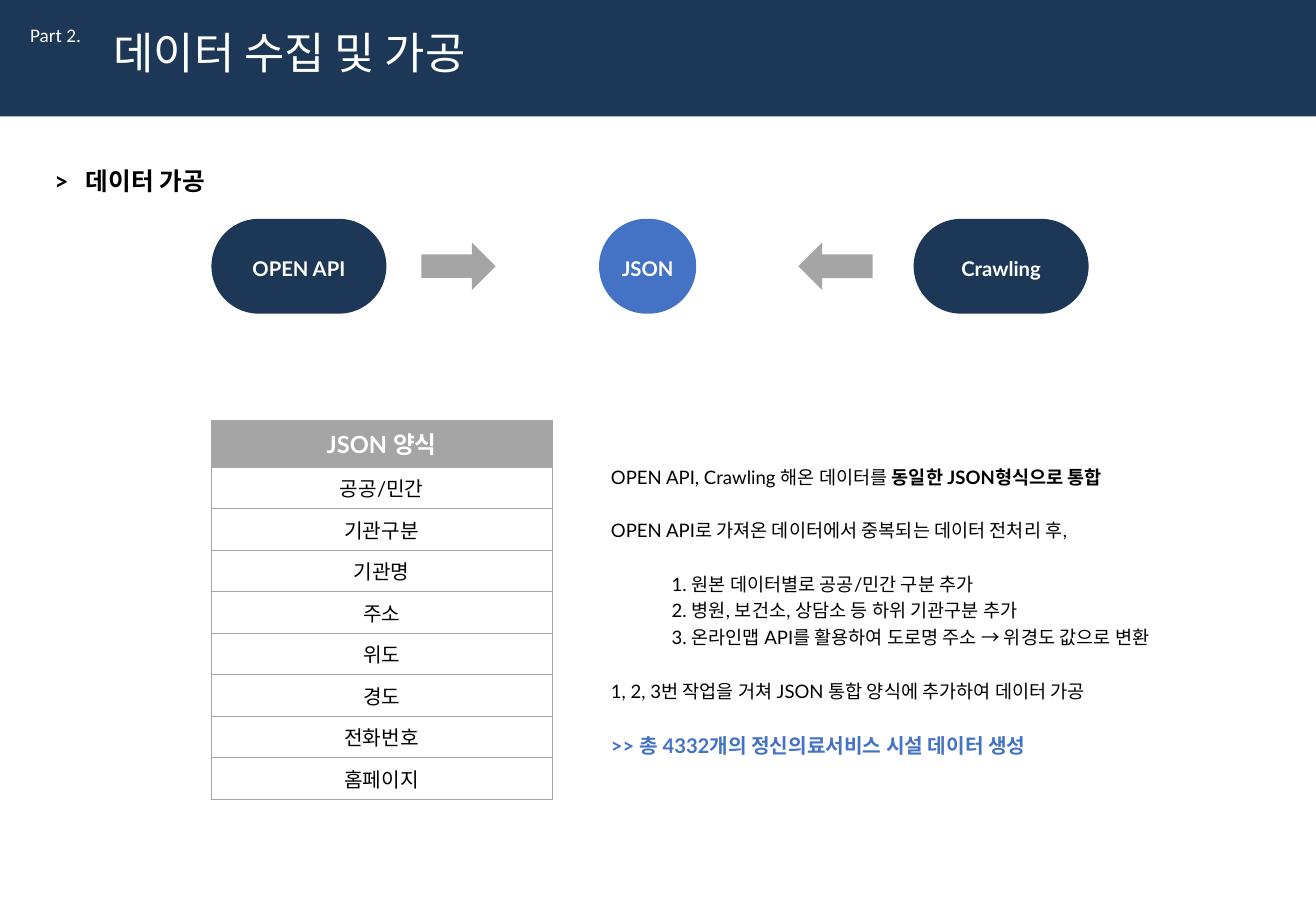
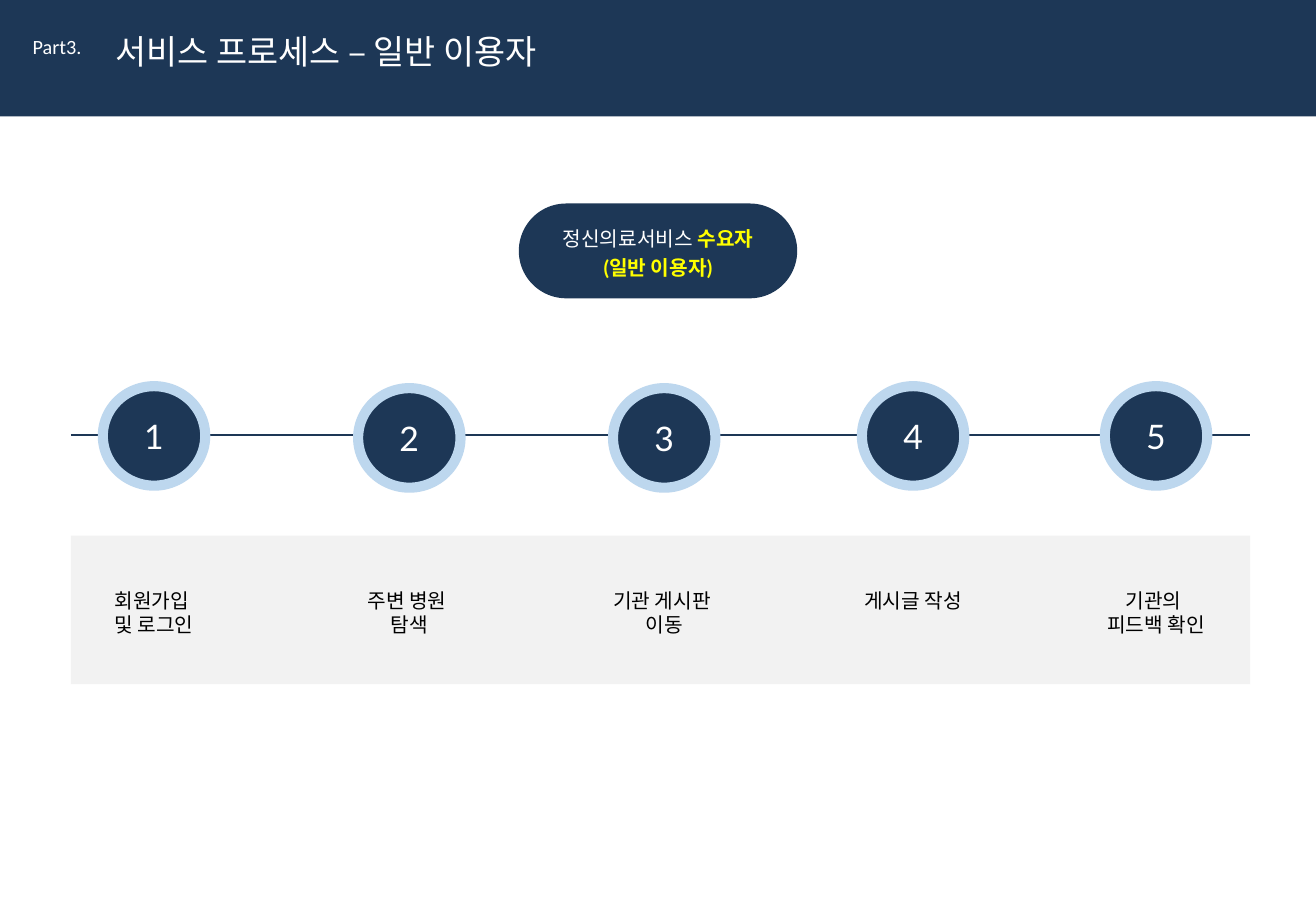
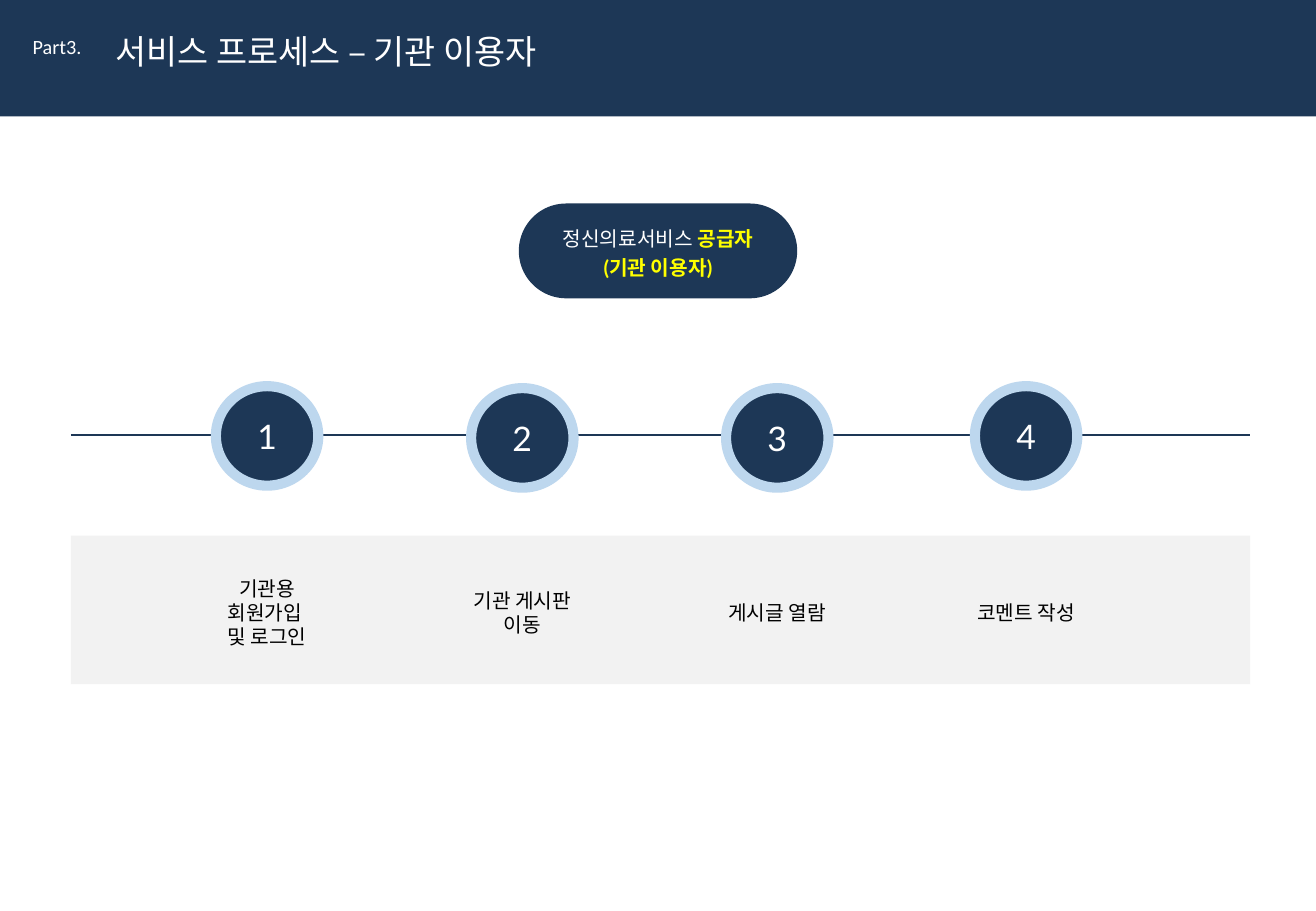
from dataclasses import dataclass

from lxml import etree
from pptx import Presentation
from pptx.dml.color import RGBColor
from pptx.enum import shapes, text
from pptx.oxml import ns
from pptx.util import Pt

KIND = shapes.MSO_SHAPE
ALIGN = text.PP_ALIGN
ANCHOR = text.MSO_ANCHOR


@dataclass(frozen=True)
class Theme:
    navy: str = "1D3756"
    blue: str = "4472C4"
    sky: str = "BDD7EE"
    gray: str = "A5A5A5"
    pale: str = "F2F2F2"
    white: str = "FFFFFF"
    black: str = "000000"
    gold: str = "FFFF00"
    font: str = "Lato"
    tag: str = "Calibri"
    body: float = 11
    base: float = 12
    head: float = 14
    sub: float = 14.6
    step: float = 20
    wide: float = 780
    tall: float = 540


T = Theme()


def rgb(code):
    return RGBColor.from_string(code)


def write(frame, *runs, size=T.base, color=T.black, bold=False, font=T.font,
          align=ALIGN.LEFT, line=None, gap=0, left=0, hang=0):
    """Add one paragraph; a run is text or (text, changes)."""
    para = frame.paragraphs[0] if not frame.text else frame.add_paragraph()
    para.alignment = align
    para.line_spacing = line
    para.space_before = Pt(gap)
    props = para._p.get_or_add_pPr()
    props.set("marL", str(Pt(left)))
    props.set("indent", str(Pt(-hang)))
    if hang:
        tabs = etree.SubElement(props, ns.qn("a:tabLst"))
        etree.SubElement(tabs, ns.qn("a:tab"), pos=str(Pt(left)), algn="l")
    for item in runs:
        words, change = (item, {}) if isinstance(item, str) else item
        look = {"size": size, "color": color, "bold": bold} | change
        run = para.add_run()
        run.text = words
        run.font.name = font
        run.font.size = Pt(look["size"])
        run.font.bold = look["bold"]
        run.font.color.rgb = rgb(look["color"])


def setup(frame, anchor=ANCHOR.TOP, inset=(7.2, 3.6), wrap=True):
    frame.word_wrap = wrap
    frame.auto_size = text.MSO_AUTO_SIZE.NONE
    frame.vertical_anchor = anchor
    frame.margin_left = frame.margin_right = Pt(inset[0])
    frame.margin_top = frame.margin_bottom = Pt(inset[1])
    return frame


def label(slide, box, **form):
    return setup(slide.shapes.add_textbox(*map(Pt, box)).text_frame, **form)


def shape(slide, kind, box, fill, edge=None, width=0):
    item = slide.shapes.add_shape(kind, *map(Pt, box))
    item.shadow.inherit = False
    item.fill.solid()
    item.fill.fore_color.rgb = rgb(fill)
    if edge:
        item.line.color.rgb = rgb(edge)
        item.line.width = Pt(width)
    else:
        item.line.fill.background()
    return item


def around(x, y, w, h):
    """Box of the given size centred on a point."""
    return x - w / 2, y - h / 2, w, h


def pill(slide, box, fill):
    item = shape(slide, KIND.ROUNDED_RECTANGLE, box, fill)
    item.adjustments[0] = 0.5
    return setup(item.text_frame, anchor=ANCHOR.MIDDLE, inset=(0, 0))


def header(deck, part, title, at, spot, size, small):
    """New slide with its band, part tag and title."""
    slide = deck.slides.add_slide(deck.slide_layouts[5])
    band = shape(slide, KIND.RECTANGLE, (0, 0, T.wide, 69), T.navy)
    slide.shapes._spTree.insert(2, band._element)
    tag = label(slide, (*at, 39, 21), anchor=ANCHOR.MIDDLE,
                inset=(2.9, 3.6), wrap=False)
    write(tag, part, size=small, color=T.white, font=T.tag)
    name = slide.shapes.title
    name.left, name.top, name.width, name.height = map(Pt, (*spot, 420, 40))
    write(setup(name.text_frame), title, size=size, color=T.white)
    return slide


def flow(slide, box):
    """Two sources that lead into one format."""
    x, y, w, h = box
    mid = y + h / 2
    pills = (("OPEN API", 52, 103.7, T.navy), ("JSON", 258.7, 57.6, T.blue),
             ("Crawling", 468.2, 103.7, T.navy))
    for words, off, wide, fill in pills:
        write(pill(slide, around(x + off, mid, wide, h), fill), words,
              color=T.white, bold=True, align=ALIGN.CENTER, line=1.2)
    for off, turn in ((146.6, 0), (370, 180)):
        arrow = shape(slide, KIND.RIGHT_ARROW,
                      around(x + off, mid, 44, 28), T.gray)
        arrow.rotation = turn


def border(cell):
    props = cell._tc.get_or_add_tcPr()
    for index, side in enumerate(("lnL", "lnR", "lnT", "lnB")):
        edge = etree.Element(ns.qn("a:" + side), w=str(Pt(0.5)))
        fill = etree.SubElement(edge, ns.qn("a:solidFill"))
        etree.SubElement(fill, ns.qn("a:srgbClr"), val=T.gray)
        props.insert(index, edge)


def fields(slide, box, rows):
    """One-column table whose first row is the heading."""
    x, y, w, h = box
    first = 24.2
    high = (h - first) / (len(rows) - 1)
    table = slide.shapes.add_table(len(rows), 1, *map(Pt, box)).table
    table.columns[0].width = Pt(w)
    for index, words in enumerate(rows):
        top = index == 0
        table.rows[index].height = Pt(first if top else high)
        cell = table.cell(index, 0)
        cell.vertical_anchor = ANCHOR.MIDDLE
        cell.fill.solid()
        cell.fill.fore_color.rgb = rgb(T.gray if top else T.white)
        border(cell)
        write(cell.text_frame, words, size=T.head if top else T.base,
              color=T.white if top else T.black, bold=top,
              align=ALIGN.CENTER)


def notes(slide, box):
    """Explanation beside the table."""
    frame = label(slide, box)
    plain = {"size": T.body, "line": 1.2}
    apart = plain | {"gap": 15.8}
    write(frame, "OPEN API, Crawling 해온 데이터를 ",
          ("동일한 JSON형식으로 통합", {"bold": True}),
          align=ALIGN.JUSTIFY, **plain)
    write(frame, "OPEN API로 가져온 데이터에서 중복되는 데이터 전처리 후,",
          align=ALIGN.JUSTIFY, **apart)
    tasks = ("1. 원본 데이터별로 공공/민간 구분 추가",
             "2. 병원, 보건소, 상담소 등 하위 기관구분 추가",
             "3. 온라인맵 API를 활용하여 도로명 주소 → 위경도 값으로 변환")
    for index, task in enumerate(tasks):
        write(frame, task, left=36, **(plain if index else apart))
    write(frame, "1, 2, 3번 작업을 거쳐 JSON 통합 양식에 추가하여 데이터 가공",
          **apart)
    write(frame, ">> 총 4332개의 정신의료서비스 시설 데이터 생성",
          align=ALIGN.JUSTIFY,
          **(apart | {"size": T.base, "color": T.blue, "bold": True}))


def track(slide, box, steps, anchor):
    """Numbered circles on a line, above a panel with their labels."""
    x, y, w, h = box
    panel = (x, y + 91, w, 88)
    shape(slide, KIND.RECTANGLE, panel, T.pale)
    mid = y + 31.2
    line = slide.shapes.add_connector(shapes.MSO_CONNECTOR.STRAIGHT,
                                      Pt(x), Pt(mid), Pt(x + w), Pt(mid))
    line.line.color.rgb = rgb(T.navy)
    line.line.width = Pt(1)
    etree.SubElement(line._element.spPr, ns.qn("a:effectLst"))
    high = max(len(lines) for _, _, lines in steps) * 14.4 + 7.2
    for number, (off, drop, lines) in enumerate(steps, 1):
        ring = shape(slide, KIND.FLOWCHART_CONNECTOR,
                     around(x + off, mid + drop, 60.7, 59), T.navy, T.sky, 6)
        write(setup(ring.text_frame, anchor=ANCHOR.MIDDLE), str(number),
              size=T.step, color=T.white, align=ALIGN.CENTER)
        spot = around(x + off, panel[1] + panel[3] / 2 + 1.5, 93.6, high)
        frame = label(slide, spot, anchor=anchor)
        for words in lines:
            write(frame, words, align=ALIGN.CENTER)


def data(deck):
    slide = header(deck, "Part 2.", "데이터 수집 및 가공",
                   (15, 10.2), (60, 11.5), 26, 11.4)
    write(label(slide, (25.2, 95, 176, 25)), ">\t데이터 가공",
          size=T.sub, bold=True, left=18.5, hang=18.5)
    flow(slide, (125.2, 129.7, 520, 56.2))
    fields(slide, (125.2, 249.1, 202, 209.6),
           ("JSON 양식", "공공/민간", "기관구분", "기관명", "주소", "위도",
            "경도", "전화번호", "홈페이지"))
    notes(slide, (355, 270, 345, 200))


def process(deck, user, role, steps, anchor):
    slide = header(deck, "Part3.", "서비스 프로세스 – " + user,
                   (16.5, 16.8), (61.2, 14.4), 20, 12)
    badge = pill(slide, around(T.wide / 2, 148.7, 165, 56.2), T.navy)
    form = {"color": T.white, "align": ALIGN.CENTER, "line": 1.2}
    mark = {"color": T.gold, "bold": True}
    write(badge, "정신의료서비스 ", (role, mark), **form)
    write(badge, (f"({user})", mark), **form)
    track(slide, (42, 226.6, 699, 179), steps, anchor)


def main():
    deck = Presentation()
    deck.slide_width, deck.slide_height = Pt(T.wide), Pt(T.tall)
    data(deck)
    # Each step: centre from the left end, drop below the line, label lines
    process(deck, "일반 이용자", "수요자", (
        (49.3, 0.6, ("회원가입 ", "및 로그인")),
        (200.6, 1.8, ("주변 병원 ", "탐색")),
        (351.7, 1.8, ("기관 게시판 ", "이동")),
        (499.2, 0.6, ("게시글 작성",)),
        (643.2, 0.6, ("기관의 ", "피드백 확인"))), ANCHOR.TOP)
    process(deck, "기관 이용자", "공급자", (
        (116.3, 0.6, ("기관용", "회원가입 ", "및 로그인")),
        (267.6, 1.8, ("기관 게시판", "이동")),
        (418.7, 1.8, ("게시글 열람",)),
        (566.2, 0.6, ("코멘트 작성",))), ANCHOR.MIDDLE)
    deck.save("out.pptx")


if __name__ == "__main__":
    main()
